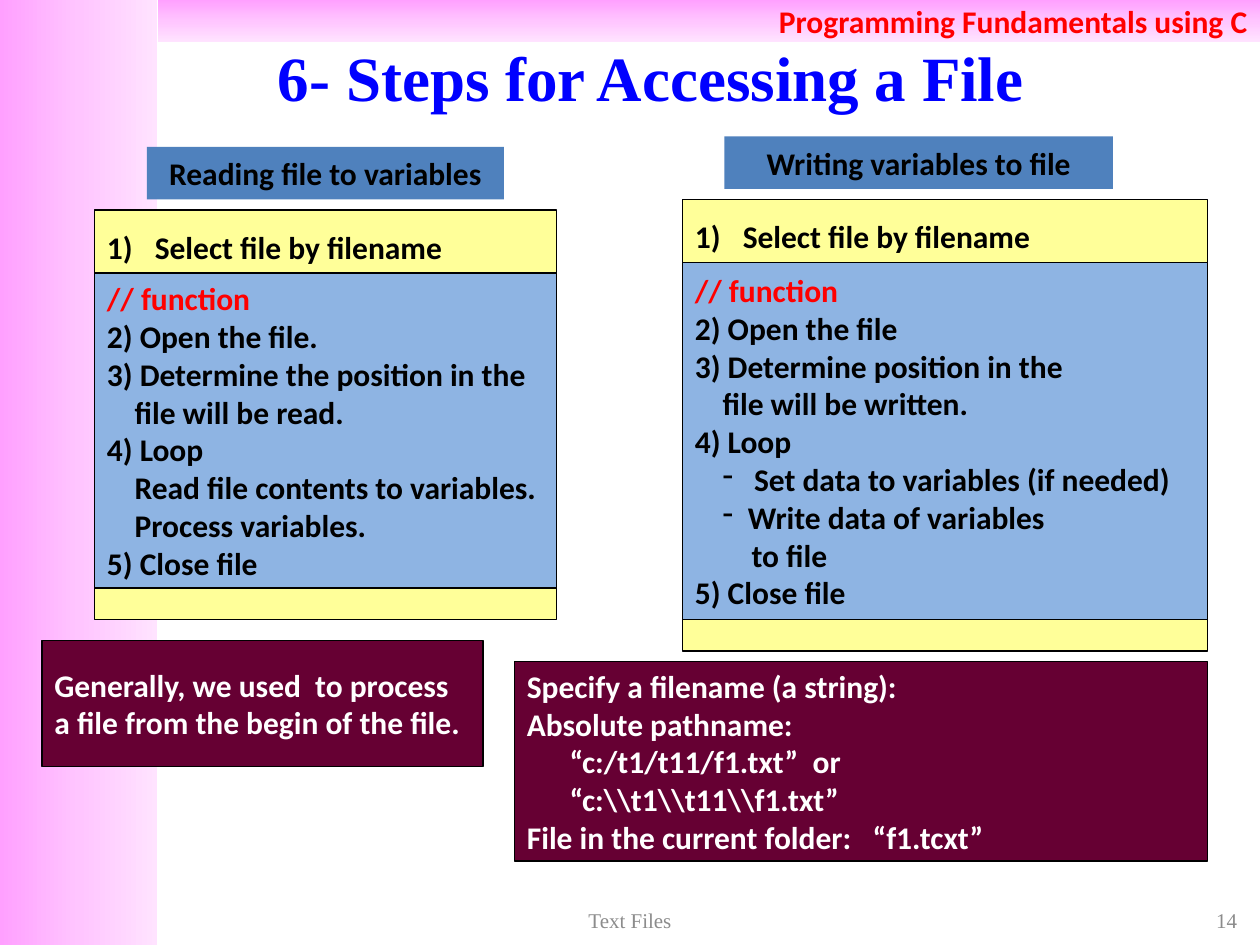
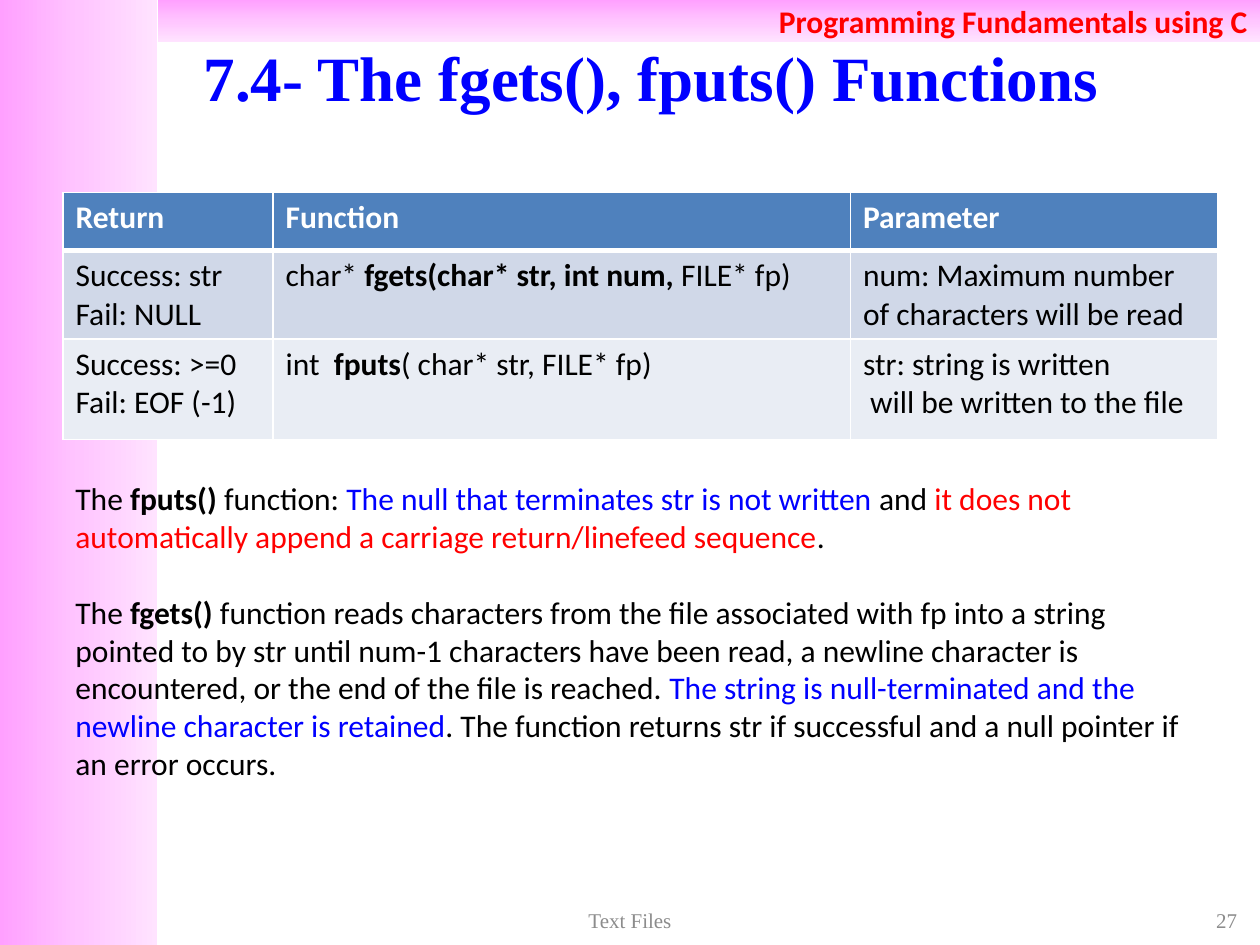
import copy

import lxml.etree
import pptx
import pptx.dml.color
import pptx.enum.shapes
import pptx.enum.text
import pptx.oxml.ns
import pptx.util

RGBColor = pptx.dml.color.RGBColor
PP_ALIGN = pptx.enum.text.PP_ALIGN
MSO_ANCHOR = pptx.enum.text.MSO_ANCHOR
qn = pptx.oxml.ns.qn

BLACK = RGBColor(0x00, 0x00, 0x00)
WHITE = RGBColor(0xFF, 0xFF, 0xFF)
RED = RGBColor(0xFF, 0x00, 0x00)
BLUE = RGBColor(0x00, 0x00, 0xFF)
GREY = RGBColor(0x8C, 0x8C, 0x8C)
HEADER_BLUE = RGBColor(0x4F, 0x81, 0xBD)
STEP_BLUE = RGBColor(0x8E, 0xB4, 0xE3)
YELLOW = RGBColor(0xFF, 0xFF, 0x99)
MAROON = RGBColor(0x66, 0x00, 0x33)
BAND_PINKS = [RGBColor(0xFF, 0xA0, 0xFF), RGBColor(0xFF, 0xC5, 0xFF), RGBColor(0xFF, 0xE3, 0xFF)]
ROW_FILLS = [HEADER_BLUE, RGBColor(0xD0, 0xD8, 0xE8), RGBColor(0xE9, 0xED, 0xF4)]

BODY_FONT = "Calibri"
TITLE_FONT = "Times New Roman"

# The slide is a grid of 120 columns by 90 rows of square units
WIDTH, HEIGHT = pptx.util.Inches(10), pptx.util.Inches(7.5)
UNIT = WIDTH // 120


def write_text(text_frame, paragraphs, align=PP_ALIGN.LEFT, font=BODY_FONT, size=18):
    """Each paragraph is a list of runs: (text, colour, bold)."""
    text_frame.word_wrap = True
    for number, runs in enumerate(paragraphs):
        paragraph = text_frame.paragraphs[0] if number == 0 else text_frame.add_paragraph()
        paragraph.alignment = align
        for text, colour, bold in runs:
            run = paragraph.add_run()
            run.text = text
            run.font.name = font
            run.font.size = pptx.util.Pt(size)
            run.font.bold = bold
            run.font.color.rgb = colour


def add_box(slide, place, fill, outlined=True):
    """Place is left, top, width and height in grid units."""
    rectangle = pptx.enum.shapes.MSO_SHAPE.RECTANGLE
    shape = slide.shapes.add_shape(rectangle, *[round(value * UNIT) for value in place])
    shape.shadow.inherit = False
    shape.text_frame.vertical_anchor = MSO_ANCHOR.MIDDLE
    if fill is not None:
        shape.fill.solid()
        shape.fill.fore_color.rgb = fill
    if outlined:
        shape.line.color.rgb = BLACK
        shape.line.width = pptx.util.Pt(0.75)
    else:
        shape.line.fill.background()
    return shape


presentation = pptx.Presentation()
presentation.slide_width, presentation.slide_height = WIDTH, HEIGHT
layout = presentation.slide_layouts[5]

# Title place, shared through the layout
title_place = layout.placeholders[0]
title_place.left, title_place.top = 10 * UNIT, round(3.6 * UNIT)
title_place.width, title_place.height = 104 * UNIT, round(7.4 * UNIT)

# Titles and footers
slides = []
for title, page in [("6- Steps for Accessing a File", "14"),
                    ("7.4- The fgets(), fputs() Functions", "27")]:
    slide = presentation.slides.add_slide(layout)
    slides.append(slide)
    title_frame = slide.shapes.title.text_frame
    title_frame.vertical_anchor = MSO_ANCHOR.MIDDLE
    title_frame.auto_size = pptx.enum.text.MSO_AUTO_SIZE.NONE
    write_text(title_frame, [[(title, BLUE, True)]], PP_ALIGN.CENTER, TITLE_FONT, 36)
    for text, left, width, align in [(page, 91, 28, PP_ALIGN.RIGHT),
                                     ("Text Files", 41, 38, PP_ALIGN.CENTER)]:
        footer = slide.shapes.add_textbox(left * UNIT, 86 * UNIT, width * UNIT, round(3.2 * UNIT))
        footer.text_frame.vertical_anchor = MSO_ANCHOR.MIDDLE
        write_text(footer.text_frame, [[(text, GREY, False)]], align, TITLE_FONT, 12)
steps_slide, functions_slide = slides

# Gradient bands, moved to the master so that every slide shows them
master_tree = presentation.slide_master.shapes.element
for position, (place, angle, label) in enumerate([
        ((0, 0, 15, 90), 0, None),
        ((15, 0, 105, 4), 270, "Programming Fundamentals using C")]):
    band = add_box(steps_slide, place, None, outlined=False)
    band.fill.gradient()
    band.fill.gradient_angle = angle
    stop_list = band.element.spPr.find(qn("a:gradFill")).find(qn("a:gsLst"))
    stop_list.insert(1, copy.deepcopy(stop_list[0]))
    for stop, pink, share in zip(band.fill.gradient_stops, BAND_PINKS, (0, 0.5, 1)):
        stop.color.rgb = pink
        stop.position = share
    if label:
        write_text(band.text_frame, [[(label, RED, True)]], PP_ALIGN.RIGHT)
    master_tree.insert(2 + position, band.element)

# Slide 1: one column of steps for reading, one for writing
# Each step is its text, left margin in inches, and whether it has a dash
step_columns = [
    ("Reading file to variables", (14, 14, 34, 5), (9, 20, 44, 39), 30, [
        ("// function", 0, False),
        ("2) Open the file.", 0, False),
        ("3) Determine the position in the", 0, False),
        ("file will be read.", 0.22, False),
        ("4) Loop", 0, False),
        ("Read file contents to variables.", 0.22, False),
        ("Process variables.", 0.22, False),
        ("5) Close file", 0, False)]),
    ("Writing variables to file", (69, 13, 37, 5), (65, 19, 50, 43), 34, [
        ("// function", 0, False),
        ("2) Open the file", 0, False),
        ("3) Determine position in the", 0, False),
        ("file will be written.", 0.22, False),
        ("4) Loop", 0, False),
        ("Set data to variables (if needed)", 0.47, True),
        ("Write data of variables", 0.42, True),
        ("to file", 0.45, False),
        ("5) Close file", 0, False)]),
]
for heading, heading_place, frame_place, steps_height, steps in step_columns:
    heading_box = add_box(steps_slide, heading_place, HEADER_BLUE, outlined=False)
    write_text(heading_box.text_frame, [[(heading, BLACK, True)]], PP_ALIGN.CENTER)

    frame = add_box(steps_slide, frame_place, YELLOW)
    frame.text_frame.vertical_anchor = MSO_ANCHOR.TOP
    frame.text_frame.margin_top = pptx.util.Inches(0.14)
    write_text(frame.text_frame, [[("Select file by filename", BLACK, True)]])
    properties = frame.text_frame.paragraphs[0]._p.get_or_add_pPr()
    properties.set("marL", str(pptx.util.Inches(0.38)))
    properties.set("indent", str(-pptx.util.Inches(0.38)))
    lxml.etree.SubElement(properties, qn("a:buFont")).set("typeface", "+mj-lt")
    lxml.etree.SubElement(properties, qn("a:buAutoNum")).set("type", "arabicParenR")

    left, top, width, _ = frame_place
    steps_box = add_box(steps_slide, (left, top + 6, width, steps_height), STEP_BLUE)
    write_text(steps_box.text_frame,
               [[(text, RED if text.startswith("//") else BLACK, True)] for text, _, _ in steps])
    for paragraph, (_, margin, dashed) in zip(steps_box.text_frame.paragraphs, steps):
        properties = paragraph._p.get_or_add_pPr()
        properties.set("marL", str(pptx.util.Inches(margin)))
        if dashed:
            properties.set("indent", str(pptx.util.Inches(0.22 - margin)))
            lxml.etree.SubElement(properties, qn("a:buChar")).set("char", "-")

# Slide 1: notes under the columns
notes = [
    ((4, 61, 42, 12), [("Generally, we used  to process", 0),
                       ("a file from the begin of the file.", 0)]),
    ((49, 63, 66, 19), [("Specify a filename (a string):", 0),
                        ("Absolute pathname:", 0),
                        ("“c:/t1/t11/f1.txt”  or", 0.34),
                        ("“c:\\\\t1\\\\t11\\\\f1.txt”", 0.34),
                        ("File in the current folder:   “f1.tcxt”", 0)]),
]
for place, lines in notes:
    note = add_box(steps_slide, place, MAROON)
    write_text(note.text_frame, [[(text, WHITE, True)] for text, _ in lines])
    for paragraph, (_, margin) in zip(note.text_frame.paragraphs, lines):
        paragraph._p.get_or_add_pPr().set("marL", str(pptx.util.Inches(margin)))

# Slide 2: table of functions
cell_texts = [
    [[[(name, WHITE, True)]] for name in ("Return", "Function", "Parameter")],
    [[[("Success: str", BLACK, False)], [("Fail: NULL", BLACK, False)]],
     [[("char* ", BLACK, False), ("fgets(char* str, int num, ", BLACK, True),
       ("FILE* fp)", BLACK, False)]],
     [[("num: Maximum number of characters will be read", BLACK, False)]]],
    [[[("Success: >=0", BLACK, False)], [("Fail: EOF (-1)", BLACK, False)]],
     [[("int  ", BLACK, False), ("fputs", BLACK, True),
       ("( char* str, FILE* fp)", BLACK, False)]],
     [[("str: string is written", BLACK, False)],
      [(" will be written to the file", BLACK, False)]]],
]
table = functions_slide.shapes.add_table(
    3, 3, 6 * UNIT, round(18.35 * UNIT), 110 * UNIT, round(23.5 * UNIT)).table
for column, width in zip(table.columns, (20, 55, 35)):
    column.width = width * UNIT
for row, height in zip(table.rows, (0.46, 0.7, 0.8)):
    row.height = pptx.util.Inches(height)
for row_number, row_texts in enumerate(cell_texts):
    for column_number, paragraphs in enumerate(row_texts):
        cell = table.cell(row_number, column_number)
        write_text(cell.text_frame, paragraphs)
        cell.fill.solid()
        cell.fill.fore_color.rgb = ROW_FILLS[row_number]
        properties = cell._tc.get_or_add_tcPr()
        for position, side in enumerate(("L", "R", "T", "B")):
            thick = (row_number, side) in ((0, "B"), (1, "T"))
            border = lxml.etree.Element(qn("a:ln" + side), w=str(pptx.util.Pt(3 if thick else 1)))
            border_fill = lxml.etree.SubElement(border, qn("a:solidFill"))
            lxml.etree.SubElement(border_fill, qn("a:srgbClr")).set("val", str(WHITE))
            properties.insert(position, border)

# Slide 2: explanation
explanation = functions_slide.shapes.add_textbox(6 * UNIT, 45 * UNIT, 110 * UNIT, 34 * UNIT)
write_text(explanation.text_frame, [
    [("The ", BLACK, False), ("fputs() ", BLACK, True), ("function: ", BLACK, False),
     ("The null that terminates str is not written ", BLUE, False), ("and ", BLACK, False),
     ("it does not automatically append a carriage return/linefeed sequence", RED, False),
     (".", BLACK, False)],
    [("The ", BLACK, False), ("fgets()", BLACK, True),
     (" function reads characters from the file associated with fp into a string pointed to by "
      "str until num-1 characters have been read, a newline character is encountered, or the "
      "end of the file is reached. ", BLACK, False),
     ("The string is null-terminated and the newline character is retained", BLUE, False),
     (". The function returns str if successful and a null pointer if an error occurs.",
      BLACK, False)],
])
explanation.text_frame.paragraphs[0].space_after = pptx.util.Pt(22)

presentation.save("out.pptx")
